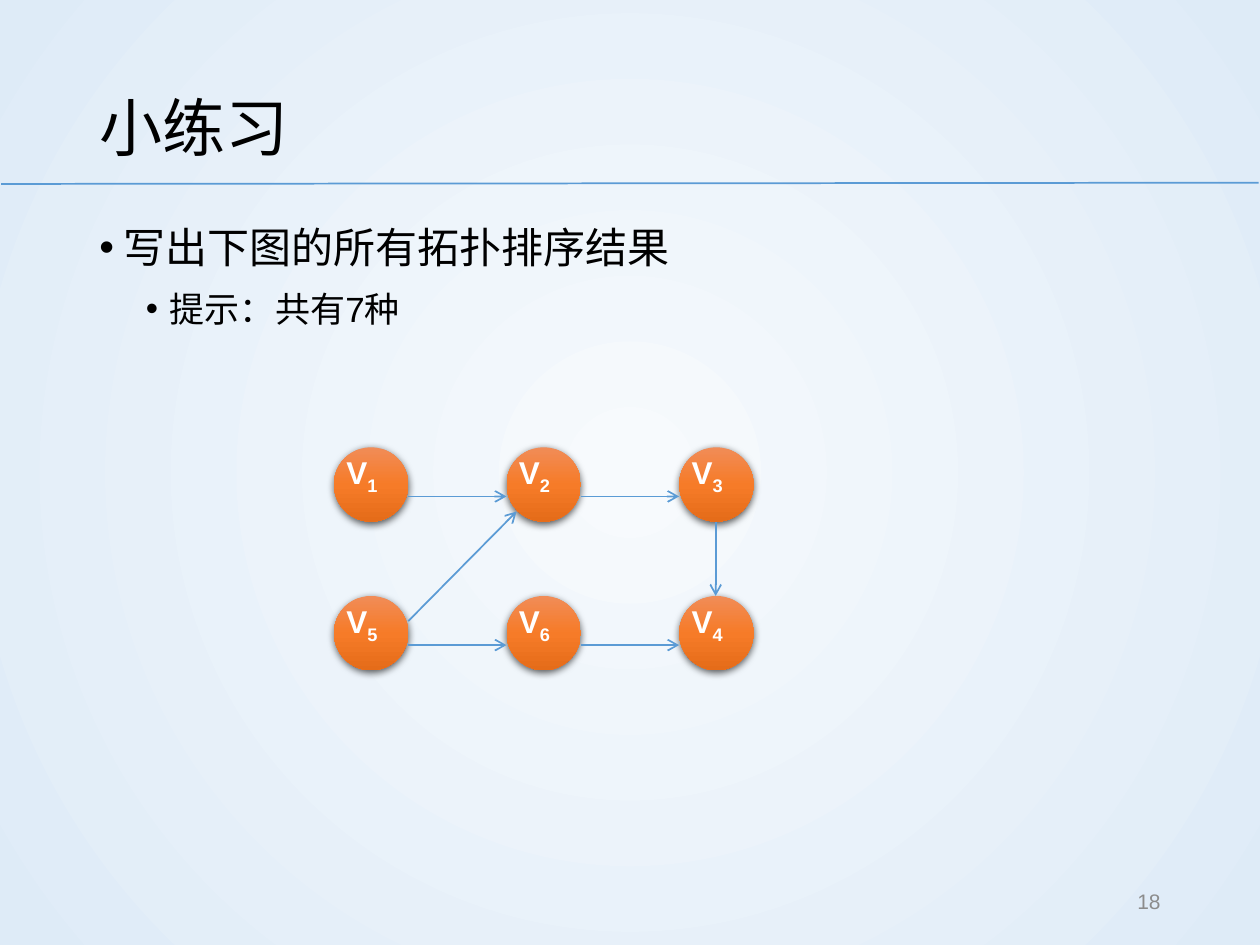
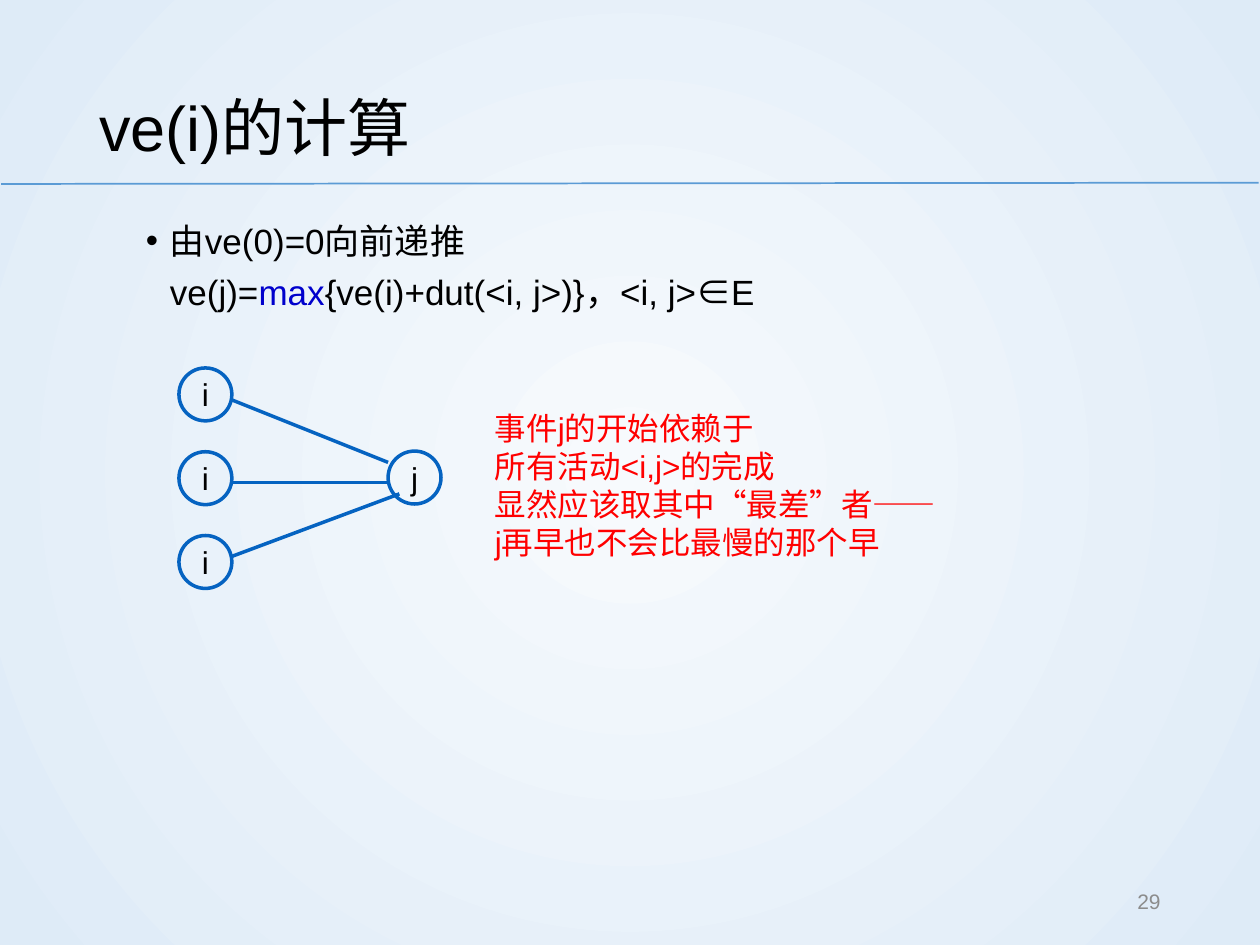
from lxml import etree
from pptx import Presentation
from pptx.dml.color import RGBColor
from pptx.enum.shapes import MSO_CONNECTOR, MSO_SHAPE
from pptx.enum.text import MSO_ANCHOR, MSO_AUTO_SIZE, PP_ALIGN
from pptx.oxml.ns import qn
from pptx.util import Inches, Pt

STRAIGHT = MSO_CONNECTOR.STRAIGHT
DISC, RING = MSO_SHAPE.FLOWCHART_CONNECTOR, MSO_SHAPE.OVAL
TOP, MIDDLE = MSO_ANCHOR.TOP, MSO_ANCHOR.MIDDLE
GROW = MSO_AUTO_SIZE.SHAPE_TO_FIT_TEXT
CENTER, RIGHT = PP_ALIGN.CENTER, PP_ALIGN.RIGHT

LATIN, HAN = "Arial", "Noto Sans CJK SC"
BLACK, WHITE, GREY, RED = "000000", "FFFFFF", "8C8C8C", "FF0000"
SKY, BLUE, NAVY = "5B9BD5", "0563C1", "0000CC"
BACK = [(0, "F7FAFD"), (100, "DEEBF7")]
ORANGE = [(0, "F18C57"), (50, "F67B28"), (100, "E56C19")]
BODY = (0.69, 1.63, 8.62, 5.13)


def tint(code):
    """Turn a hex string into a colour."""
    return RGBColor.from_string(code)


def inches(*sizes):
    """Turn plain numbers into lengths."""
    return [Inches(size) for size in sizes]


def child(node, tag, **attrs):
    """Append a drawing element with attributes."""
    item = etree.SubElement(node, qn("a:" + tag))
    for name, value in attrs.items():
        item.set(name, str(value))
    return item


def blend(fill, root, stops, round_=False):
    """Fill with a gradient, from the centre or downwards."""
    fill.gradient()
    node = root.xpath(".//a:gradFill")[0]
    node.clear()
    ramp = child(node, "gsLst")
    for place, code in stops:
        child(child(ramp, "gs", pos=place * 1000), "srgbClr", val=code)
    if round_:
        way = child(node, "path", path="circle")
        child(way, "fillToRect", l=50000, t=50000, r=50000, b=50000)
    else:
        child(node, "lin", ang=90 * 60000, scaled=0)


def put(para, text, size, color=BLACK, face=LATIN, bold=False, base=0):
    """Add runs of one style, with a line break at each newline."""
    for row, part in enumerate(text.split("\n")):
        if row:
            para.add_line_break()
        run = para.add_run()
        run.text = part
        font = run.font
        font.name, font.size, font.bold = face, Pt(size), bold
        font.color.rgb = tint(color)
        props = run._r.get_or_add_rPr()
        child(props, "ea", typeface=HAN)
        if base:
            props.set("baseline", str(base * 1000))


def label(shapes, at, anchor=TOP, grow=False):
    """Add a wrapping text box and return its frame."""
    frame = shapes.add_textbox(*inches(*at)).text_frame
    frame.word_wrap = True
    frame.vertical_anchor = anchor
    if grow:
        frame.auto_size = GROW
    return frame


def bullet(para, left, before):
    """Give a paragraph a hanging bullet."""
    para.line_spacing = 1.2
    para.space_before = Pt(before)
    props = para._p.get_or_add_pPr()
    props.set("marL", str(Inches(left)))
    props.set("indent", str(Inches(-0.19)))
    child(props, "buFont", typeface=LATIN)
    child(props, "buChar", char="•")


def line(slide, start, end, color=SKY, width=1, arrow=False):
    """Draw a straight line, with an open arrowhead if asked."""
    link = slide.shapes.add_connector(STRAIGHT, *inches(*start, *end))
    link.line.color.rgb = tint(color)
    link.line.width = Pt(width)
    if arrow:
        child(link.line._get_or_add_ln(), "tailEnd", type="arrow")
    child(link.element.spPr, "effectLst")


def frame_slide(deck, title, number):
    """Add a slide with its background, title, rule and number."""
    slide = deck.slides.add_slide(deck.slide_layouts[6])
    blend(slide.background.fill, slide.element, BACK, True)
    line(slide, (0.01, 1.46), (9.99, 1.45))
    para = label(slide.shapes, (0.69, 0.4, 8.62, 1.08), MIDDLE).paragraphs[0]
    para.line_spacing = 1.2
    put(para, title, 36)
    para = label(slide.shapes, (7.06, 6.95, 2.25, 0.4), MIDDLE).paragraphs[0]
    para.alignment = RIGHT
    put(para, number, 12, GREY)
    return slide


def vertex(slide, left, top, index):
    """Draw a shaded graph vertex with a subscript."""
    group = slide.shapes.add_group_shape()
    disc = group.shapes.add_shape(DISC, *inches(left, top, 0.59, 0.59))
    blend(disc.fill, disc.element, ORANGE)
    disc.line.fill.background()
    disc.shadow.inherit = False
    glow = child(disc.element.xpath(".//a:effectLst")[0], "outerShdw",
                 blurRad=Pt(4.5), dist=Pt(1.5), dir=90 * 60000, rotWithShape=0)
    child(child(glow, "srgbClr", val=BLACK), "alpha", val=63000)
    para = label(group.shapes, (left, top, 0.59, 0.4), grow=True).paragraphs[0]
    put(para, "V", 18, WHITE, bold=True)
    put(para, index, 18, WHITE, bold=True, base=-25)


def event(slide, left, top, name):
    """Draw an outlined event circle."""
    ring = slide.shapes.add_shape(RING, *inches(left, top, 0.42, 0.42))
    ring.shadow.inherit = False
    ring.fill.background()
    ring.line.color.rgb = tint(BLUE)
    ring.line.width = Pt(2)
    frame = ring.text_frame
    frame.word_wrap = False
    frame.vertical_anchor = MIDDLE
    para = frame.paragraphs[0]
    para.alignment = CENTER
    put(para, name, 18)


def sort_slide(deck):
    """Build the topological sort exercise."""
    slide = frame_slide(deck, "小练习", "18")
    frame = label(slide.shapes, BODY)
    para = frame.paragraphs[0]
    bullet(para, 0.19, 7.5)
    put(para, "写出下图的所有拓扑排序结果", 24)
    para = frame.add_paragraph()
    bullet(para, 0.56, 3.8)
    put(para, "提示：共有7种", 20)
    for row, names in enumerate(("123", "564")):
        top = 3.55 + 1.18 * row
        for col, name in enumerate(names):
            left = 2.65 + 1.37 * col
            vertex(slide, left, top, name)
            if col:
                line(slide, (left - 0.78, top + 0.39), (left, top + 0.39), arrow=True)
    line(slide, (3.24, 4.93), (4.1, 4.06), arrow=True)
    line(slide, (5.68, 4.14), (5.68, 4.73), arrow=True)


def event_slide(deck):
    """Build the earliest event time slide."""
    slide = frame_slide(deck, "ve(i)的计算", "29")
    para = label(slide.shapes, BODY).paragraphs[0]
    bullet(para, 0.56, 3.8)
    put(para, "由ve(0)=0向前递推\nve(j)=", 20)
    put(para, "max", 20, NAVY)
    put(para, "{ve(i)+dut(<i, j>)}，<i, j>", 20)
    put(para, "∈", 20, face=HAN)
    put(para, "E", 20)
    ends = [(3.17, (3.08, 3.67)), (3.83, (3.08, 3.83)), (4.42, (3.17, 3.92))]
    for row, (start, end) in enumerate(ends):
        line(slide, (1.83, start), end, BLUE, 2)
        event(slide, 1.42, 2.92 + 0.665 * row, "i")
    event(slide, 3.08, 3.58, "j")
    para = label(slide.shapes, (3.83, 3.2, 4.67, 1.31), grow=True).paragraphs[0]
    put(para, "事件j的开始依赖于\n所有活动<i,j>的完成\n"
        "显然应该取其中“最差”者——\nj再早也不会比最慢的那个早", 18, RED)


def main():
    """Build and save the deck."""
    deck = Presentation()
    deck.slide_width, deck.slide_height = inches(10, 7.5)
    sort_slide(deck)
    event_slide(deck)
    deck.save("out.pptx")


if __name__ == "__main__":
    main()
